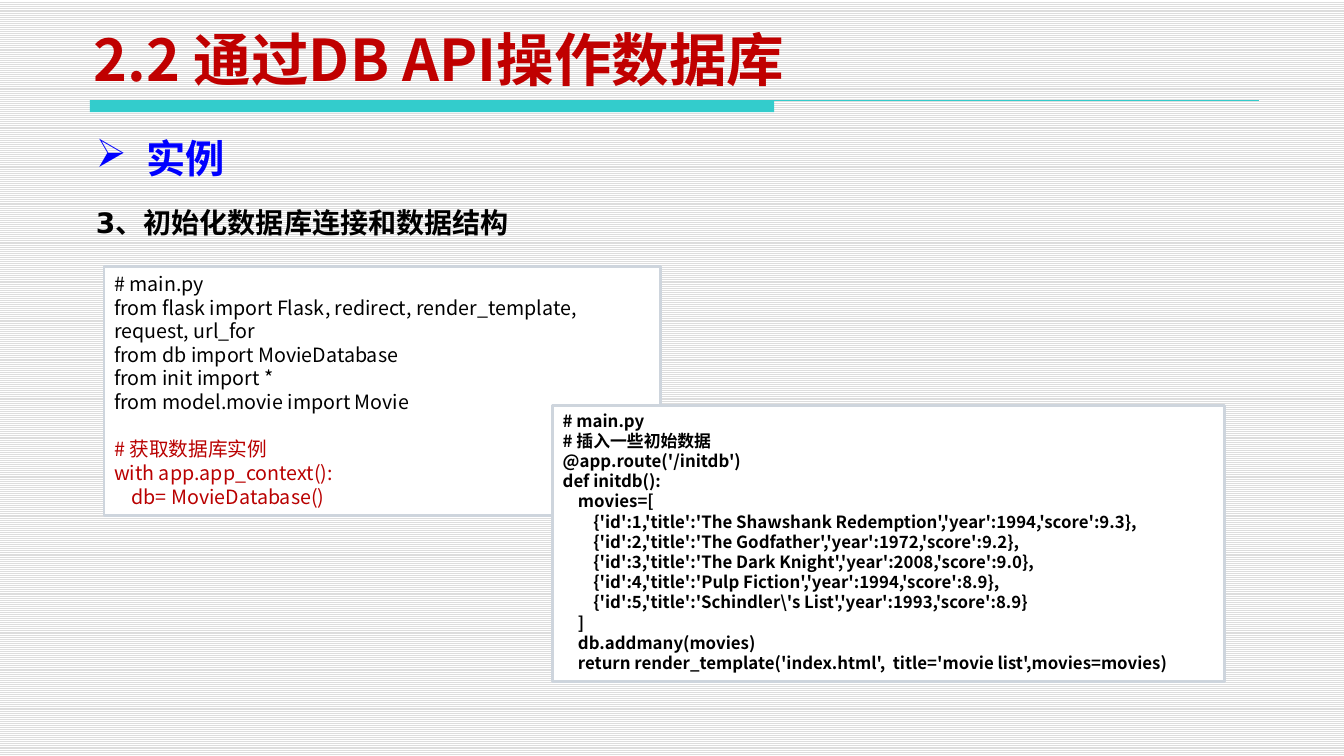
from dataclasses import dataclass

from lxml import etree
from pptx import Presentation
from pptx.dml.color import RGBColor
from pptx.enum.dml import MSO_PATTERN
from pptx.enum.shapes import MSO_CONNECTOR, MSO_SHAPE
from pptx.enum.text import MSO_ANCHOR, MSO_AUTO_SIZE, PP_ALIGN
from pptx.oxml.ns import qn
from pptx.util import Inches, Pt

RECTANGLE = MSO_SHAPE.RECTANGLE
STRAIGHT = MSO_CONNECTOR.STRAIGHT
HORIZONTAL_LINES = MSO_PATTERN.LIGHT_HORIZONTAL
TOP, BOTTOM = MSO_ANCHOR.TOP, MSO_ANCHOR.BOTTOM
FIT_SHAPE, FIXED_SIZE = MSO_AUTO_SIZE.SHAPE_TO_FIT_TEXT, MSO_AUTO_SIZE.NONE
LEFT, JUSTIFY = PP_ALIGN.LEFT, PP_ALIGN.JUSTIFY


@dataclass(frozen=True)
class Theme:
    title: RGBColor = RGBColor.from_string("C00000")
    heading: RGBColor = RGBColor.from_string("0000FF")
    text: RGBColor = RGBColor.from_string("000000")
    highlight: RGBColor = RGBColor.from_string("B90000")
    accent: RGBColor = RGBColor.from_string("33CCCC")
    panel: RGBColor = RGBColor.from_string("FFFFFF")
    border: RGBColor = RGBColor.from_string("CED5DD")
    stripe: RGBColor = RGBColor.from_string("DDDDDD")
    title_size: float = 41
    heading_size: float = 28
    step_size: float = 20
    code_size: float = 14
    small_code_size: float = 12
    code_gap: float = 17
    chinese_font: str = "Noto Sans CJK SC"
    latin_font: str = "DejaVu Sans"


THEME = Theme()


@dataclass(frozen=True)
class Box:
    left: float
    top: float
    width: float
    height: float

    def lengths(self):
        return tuple(map(Inches, (self.left, self.top, self.width, self.height)))


@dataclass(frozen=True)
class CodeBlock:
    lines: tuple[str, ...]
    color: RGBColor = THEME.text


@dataclass(frozen=True)
class CodePanel:
    box: Box
    blocks: tuple[CodeBlock, ...]
    size: float
    bold: bool = False


TITLE_BAR = Box(0.89, 0.99, 6.77, 0.12)
RULE_END = 12.46

PANELS = (
    CodePanel(
        Box(1.03, 2.64, 5.51, 2.46),
        (
            CodeBlock((
                "# main.py",
                "from flask import Flask, redirect, render_template, request, url_for",
                "from db import MovieDatabase",
                "from init import *",
                "from model.movie import Movie",
            )),
            CodeBlock((
                "# 获取数据库实例",
                "with app.app_context():",
                "    db= MovieDatabase()",
            ), THEME.highlight),
        ),
        THEME.code_size,
    ),
    CodePanel(
        Box(5.47, 4.01, 6.65, 2.73),
        (
            CodeBlock((
                "# main.py",
                "# 插入一些初始数据",
                "@app.route('/initdb')",
                "def initdb():",
                "    movies=[",
                "        {'id':1,'title':'The Shawshank Redemption','year':1994,'score':9.3},",
                "        {'id':2,'title':'The Godfather','year':1972,'score':9.2},",
                "        {'id':3,'title':'The Dark Knight','year':2008,'score':9.0},",
                "        {'id':4,'title':'Pulp Fiction','year':1994,'score':8.9},",
                "        {'id':5,'title':'Schindler\\'s List','year':1993,'score':8.9}",
                "    ]",
                "    db.addmany(movies)",
                "    return render_template('index.html',  title='movie list',movies=movies)",
            )),
        ),
        THEME.small_code_size,
        bold=True,
    ),
)


def write_text(paragraph, text: str, *, size: float, color: RGBColor, bold: bool = True,
               font: str = THEME.chinese_font, align=LEFT, line_spacing: float = 1.0,
               space_before: float = 0, bullet: str = "") -> None:
    paragraph.alignment = align
    paragraph.line_spacing = line_spacing
    paragraph.space_before = Pt(space_before)
    if bullet:
        properties = paragraph._p.get_or_add_pPr()
        properties.set("marL", str(Inches(0.5)))
        properties.set("indent", str(Inches(-0.5)))
        etree.SubElement(properties, qn("a:buChar")).set("char", bullet)
    run = paragraph.add_run()
    run.text = text
    run.font.size = Pt(size)
    run.font.bold = bold
    run.font.color.rgb = color
    run.font.name = font
    east_asian = etree.SubElement(run._r.get_or_add_rPr(), qn("a:ea"))
    east_asian.set("typeface", THEME.chinese_font)


def prepare_frame(shape, anchor=TOP, auto_size=FIT_SHAPE, side_inset: float = 0.1):
    frame = shape.text_frame
    frame.word_wrap = True
    frame.auto_size = auto_size
    frame.vertical_anchor = anchor
    frame.margin_left = frame.margin_right = Inches(side_inset)
    frame.margin_top = frame.margin_bottom = Inches(0.05)
    return frame


def add_label(slide, box: Box, text: str, *, anchor=TOP, auto_size=FIT_SHAPE,
              side_inset: float = 0.11, **text_format) -> None:
    shape = slide.shapes.add_textbox(*box.lengths())
    frame = prepare_frame(shape, anchor, auto_size, side_inset)
    write_text(frame.paragraphs[0], text, **text_format)


def add_rectangle(slide, box: Box, fill: RGBColor):
    shape = slide.shapes.add_shape(RECTANGLE, *box.lengths())
    shape.shadow.inherit = False
    shape.fill.solid()
    shape.fill.fore_color.rgb = fill
    shape.line.fill.background()
    return shape


def add_title_rule(slide) -> None:
    add_rectangle(slide, TITLE_BAR, THEME.accent)
    top = Inches(TITLE_BAR.top)
    rule = slide.shapes.add_connector(STRAIGHT, Inches(TITLE_BAR.left), top, Inches(RULE_END), top)
    rule.line.color.rgb = THEME.accent
    rule.line.width = Pt(0.75)
    etree.SubElement(rule._element.spPr, qn("a:effectLst"))


def add_code_panel(slide, panel: CodePanel) -> None:
    shape = add_rectangle(slide, panel.box, THEME.panel)
    shape.line.color.rgb = THEME.border
    shape.line.width = Pt(2)
    frame = prepare_frame(shape)
    paragraph = frame.paragraphs[0]
    for block_index, block in enumerate(panel.blocks):
        for line_index, line in enumerate(block.lines):
            if block_index or line_index:
                paragraph = frame.add_paragraph()
            gap = THEME.code_gap if block_index and not line_index else 0
            write_text(paragraph, line, size=panel.size, color=block.color,
                       bold=panel.bold, space_before=gap)


def main() -> None:
    presentation = Presentation()
    presentation.slide_width = Inches(13.3)
    presentation.slide_height = Inches(7.48)
    slide = presentation.slides.add_slide(presentation.slide_layouts[6])
    background = slide.background.fill
    background.patterned()
    background.pattern = HORIZONTAL_LINES
    background.fore_color.rgb = THEME.stripe
    background.back_color.rgb = THEME.panel

    add_title_rule(slide)
    add_label(slide, Box(0.82, 0.28, 10.55, 0.69), "2.2 通过DB API操作数据库",
              anchor=BOTTOM, auto_size=FIXED_SIZE, size=THEME.title_size, color=THEME.title)
    add_label(slide, Box(0.84, 1.28, 8.5, 0.58), "实例", size=THEME.heading_size,
              color=THEME.heading, font=THEME.latin_font, align=JUSTIFY, bullet="➢")
    add_label(slide, Box(0.85, 1.82, 5.67, 0.54), "3、初始化数据库连接和数据结构",
              side_inset=0.1, size=THEME.step_size, color=THEME.text,
              font=THEME.latin_font, line_spacing=1.5)
    for panel in PANELS:
        add_code_panel(slide, panel)
    presentation.save("out.pptx")


if __name__ == "__main__":
    main()
